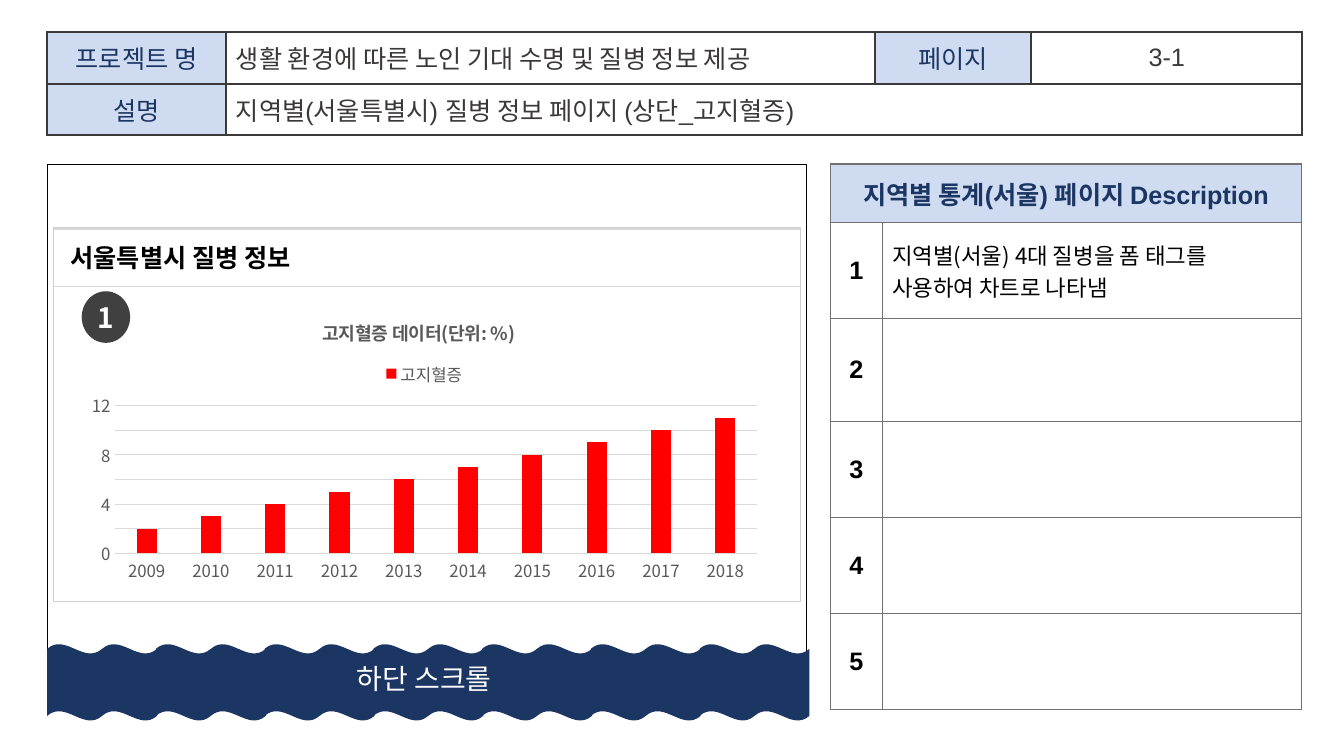
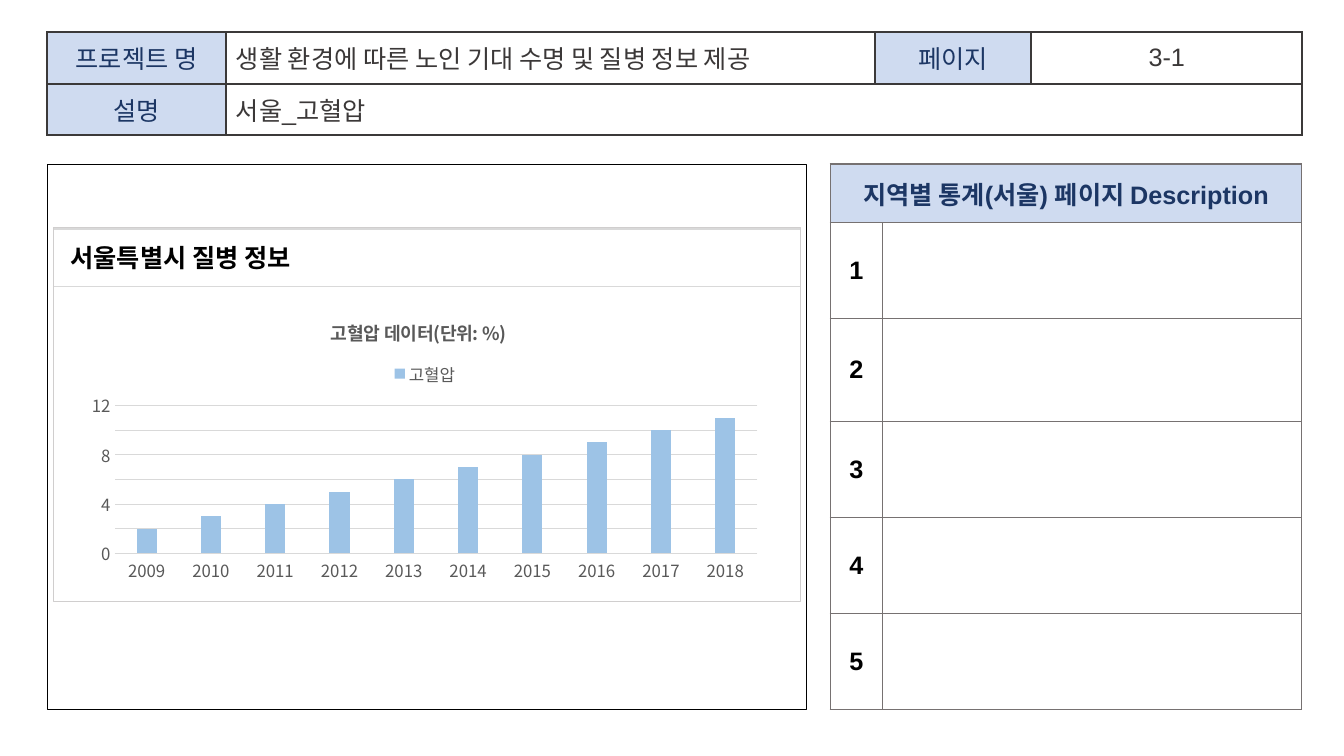
import dataclasses

import lxml.etree
import pptx
import pptx.chart.data
import pptx.dml.color
import pptx.enum.chart
import pptx.enum.shapes
import pptx.enum.text
import pptx.oxml
import pptx.oxml.ns
import pptx.util

Cm, Pt = pptx.util.Cm, pptx.util.Pt
PP_ALIGN = pptx.enum.text.PP_ALIGN
MSO_ANCHOR = pptx.enum.text.MSO_ANCHOR
MSO_SHAPE = pptx.enum.shapes.MSO_SHAPE
qn = pptx.oxml.ns.qn


@dataclasses.dataclass(frozen=True)
class Theme:
    navy: str = "1C3664"
    pale_blue: str = "CFDBF0"
    white: str = "FFFFFF"
    black: str = "000000"
    ink: str = "3B3838"
    header_border: str = "3B3939"
    description_border: str = "767171"
    panel_border: str = "D0CECE"
    grid: str = "D9D9D9"
    chart_text: str = "595959"
    badge: str = "404040"
    latin: str = "Arial"
    korean: str = "Noto Sans CJK KR"
    large: int = 20
    normal: int = 18
    note: int = 16
    chart_title: int = 13
    chart_label: int = 12


@dataclasses.dataclass(frozen=True)
class Page:
    summary: str
    disease: str
    bar_color: str
    notes: tuple = ()
    badge: str = ""
    scroll_label: str = ""


THEME = Theme()
PAGES = [
    Page("지역별(서울특별시) 질병 정보 페이지 (상단_고지혈증)", "고지혈증", "FF0000",
         ("지역별(서울) 4대 질병을 폼 태그를 사용하여 차트로 나타냄",), "1", "하단 스크롤"),
    Page("서울_고혈압", "고혈압", "9DC3E6"),
]
YEARS = [str(year) for year in range(2009, 2019)]
RATES = range(2, 12)
LEFT = 1.19
PANEL_TOP = 4.14
PANEL_HEIGHT = 13.74


def rgb(color):
    return pptx.dml.color.RGBColor.from_string(color)


def box(left, top, width, height):
    return Cm(left), Cm(top), Cm(width), Cm(height)


def style_font(font, size, color, face=THEME.korean, bold=False):
    font.size, font.bold, font.name = Pt(size), bold, face
    font.color.rgb = rgb(color)


def write(frame, text, size, color, face=THEME.korean, bold=False, align=PP_ALIGN.LEFT):
    frame.vertical_anchor = MSO_ANCHOR.MIDDLE
    paragraph = frame.paragraphs[0]
    paragraph.alignment = align
    run = paragraph.add_run()
    run.text = text
    style_font(run.font, size, color, face, bold)
    east_asian = lxml.etree.SubElement(run.font._element, qn("a:ea"))
    east_asian.set("typeface", THEME.korean)


def add_figure(shapes, kind, bounds, fill=None, line=None, line_width=1):
    figure = shapes.add_shape(kind, *bounds)
    figure.shadow.inherit = False
    if fill:
        figure.fill.solid()
        figure.fill.fore_color.rgb = rgb(fill)
    else:
        figure.fill.background()
    if line:
        figure.line.color.rgb = rgb(line)
        figure.line.width = Pt(line_width)
    else:
        figure.line.fill.background()
    return figure


def add_grid(slide, left, top, widths, heights):
    frame = slide.shapes.add_table(len(heights), len(widths),
                                   *box(left, top, sum(widths), sum(heights)))
    table = frame.table
    table.first_row = table.horz_banding = False
    for column, width in zip(table.columns, widths):
        column.width = Cm(width)
    for row, height in zip(table.rows, heights):
        row.height = Cm(height)
    return table


def paint_cells(table, is_label, border, outer, inner):
    """Fill every cell and draw the outer and inner rules of the table."""
    last_row, last_column = len(table.rows) - 1, len(table.columns) - 1
    for r in range(last_row + 1):
        for c in range(last_column + 1):
            cell = table.cell(r, c)
            cell.fill.solid()
            cell.fill.fore_color.rgb = rgb(THEME.pale_blue if is_label(r, c) else THEME.white)
            right = c + cell.span_width - 1 if cell.is_merge_origin else c
            edges = (("L", c == 0), ("R", right == last_column),
                     ("T", r == 0), ("B", r == last_row))
            properties = cell._tc.get_or_add_tcPr()
            for position, (side, is_outer) in enumerate(edges):
                width = Pt(outer if is_outer else inner)
                properties.insert(position, pptx.oxml.parse_xml(
                    f'<a:ln{side} xmlns:a="http://schemas.openxmlformats.org/drawingml/2006/main"'
                    f' w="{width}"><a:solidFill><a:srgbClr val="{border}"/></a:solidFill>'
                    f'</a:ln{side}>'))


def add_header(slide, summary):
    table = add_grid(slide, LEFT, 0.81, (4.5, 16.36, 3.94, 6.83), (1.3, 1.3))
    table.cell(1, 1).merge(table.cell(1, 3))
    paint_cells(table, lambda r, c: c == 0 or (r, c) == (0, 2), THEME.header_border, 1.5, 1.5)
    entries = (
        (0, 0, "프로젝트 명", THEME.navy, PP_ALIGN.CENTER),
        (0, 1, "생활 환경에 따른 노인 기대 수명 및 질병 정보 제공", THEME.ink, PP_ALIGN.LEFT),
        (0, 2, "페이지", THEME.navy, PP_ALIGN.CENTER),
        (0, 3, "3-1", THEME.ink, PP_ALIGN.CENTER),
        (1, 0, "설명", THEME.navy, PP_ALIGN.CENTER),
        (1, 1, summary, THEME.ink, PP_ALIGN.LEFT),
    )
    for r, c, text, color, align in entries:
        cell = table.cell(r, c)
        cell.vertical_anchor = MSO_ANCHOR.MIDDLE
        write(cell.text_frame, text, THEME.normal, color, THEME.latin, align=align)


def add_description(slide, notes):
    table = add_grid(slide, 20.93, PANEL_TOP, (1.3, 10.57),
                     (1.47, 2.42, 2.59, 2.42, 2.42, 2.42))
    table.cell(0, 0).merge(table.cell(0, 1))
    paint_cells(table, lambda r, c: r == 0, THEME.description_border, 1.5, 1)
    labels = ["지역별 통계(서울) 페이지 Description", *"12345"]
    for r, label in enumerate(labels):
        cell = table.cell(r, 0)
        cell.vertical_anchor = MSO_ANCHOR.MIDDLE
        write(cell.text_frame, label, THEME.normal, THEME.black if r else THEME.navy,
              THEME.latin, True, PP_ALIGN.CENTER)
    for r, note in enumerate(notes, start=1):
        cell = table.cell(r, 1)
        cell.vertical_anchor = MSO_ANCHOR.MIDDLE
        write(cell.text_frame, note, THEME.note, THEME.black)


def add_panel(slide):
    """Outline the screen mock-up and place its heading."""
    add_figure(slide.shapes, MSO_SHAPE.RECTANGLE, box(LEFT, PANEL_TOP, 19.13, PANEL_HEIGHT),
               line=THEME.black, line_width=0)
    add_figure(slide.shapes, MSO_SHAPE.RECTANGLE, box(1.35, 5.74, 18.82, 9.42),
               line=THEME.panel_border)
    heading = slide.shapes.title
    heading.left, heading.top, heading.width, heading.height = box(1.35, 5.77, 18.82, 1.45)
    heading.line.color.rgb = rgb(THEME.grid)
    heading.line.width = Pt(1)
    heading.text_frame.auto_size = pptx.enum.text.MSO_AUTO_SIZE.NONE
    heading.text_frame.margin_left = Cm(0.43)
    write(heading.text_frame, "서울특별시 질병 정보", THEME.normal, THEME.black, THEME.latin, True)


def place(element, **fractions):
    """Give a chart part a fixed place, in fractions of the chart."""
    for old in element.findall(qn("c:layout")):
        element.remove(old)
    inner = '<c:layoutTarget val="inner"/>' if "w" in fractions else ""
    modes = "".join(f'<c:{key}Mode val="edge"/>' for key in "xy")
    values = "".join(f'<c:{key} val="{value:.3f}"/>' for key, value in fractions.items())
    layout = pptx.oxml.parse_xml(
        '<c:layout xmlns:c="http://schemas.openxmlformats.org/drawingml/2006/chart">'
        f'<c:manualLayout>{inner}{modes}{values}</c:manualLayout></c:layout>')
    before = [child for child in element if child.tag in (qn("c:tx"), qn("c:legendPos"))]
    element.insert(len(before), layout)


def add_disease_chart(slide, disease, bar_color):
    data = pptx.chart.data.CategoryChartData()
    data.categories = YEARS
    data.add_series(disease, RATES)
    chart = slide.shapes.add_chart(pptx.enum.chart.XL_CHART_TYPE.COLUMN_CLUSTERED,
                                   *box(1.96, 7.54, 17.48, 7.29), data).chart
    style_font(chart.font, THEME.chart_label, THEME.chart_text)

    write(chart.chart_title.text_frame, f"{disease} 데이터(단위: %)", THEME.chart_title,
          THEME.chart_text, bold=True, align=PP_ALIGN.CENTER)
    chart.chart_title.include_in_layout = False
    chart.has_legend = True
    chart.legend.position = pptx.enum.chart.XL_LEGEND_POSITION.TOP
    chart.legend.include_in_layout = False
    style_font(chart.legend.font, THEME.chart_label, THEME.chart_text)

    half_name = 0.012 * len(disease)
    place(chart.chart_title._element, x=0.396 - half_name, y=0.05)
    place(chart.legend._element, x=0.485 - half_name, y=0.2)
    place(chart._chartSpace.chart.plotArea, x=0.053, y=0.367, w=0.927, h=0.512)

    plot = chart.plots[0]
    plot.vary_by_categories = False
    plot.gap_width, plot.overlap = 219, -27
    bars = plot.series[0].format.fill
    bars.solid()
    bars.fore_color.rgb = rgb(bar_color)

    years, rates = chart.category_axis, chart.value_axis
    for axis in (years, rates):
        axis.major_tick_mark = pptx.enum.chart.XL_TICK_MARK.NONE
        style_font(axis.tick_labels.font, THEME.chart_label, THEME.chart_text)
    rates.minimum_scale, rates.maximum_scale, rates.major_unit = 0, 12, 2
    rates.format.line.fill.background()
    for line in (years.format.line, rates.major_gridlines.format.line):
        line.color.rgb = rgb(THEME.grid)
        line.width = Pt(0.75)


def add_badge(slide, number):
    badge = add_figure(slide.shapes, MSO_SHAPE.OVAL, box(2.06, 7.34, 1.22, 1.3), THEME.badge)
    badge.text_frame.word_wrap = False
    write(badge.text_frame, number, THEME.large, THEME.white, bold=True, align=PP_ALIGN.CENTER)


def add_scroll_band(slide, label):
    band = slide.shapes.add_group_shape()
    for index in range(7):
        add_figure(band.shapes, MSO_SHAPE.DOUBLE_WAVE,
                   box(LEFT + 2.74 * index, 16.23, 2.77, 1.93), THEME.navy)
    caption = band.shapes.add_textbox(*box(8.53, 16.54, 4.32, 1.12))
    caption.text_frame.word_wrap = False
    write(caption.text_frame, label, THEME.large, THEME.white, align=PP_ALIGN.CENTER)


def main():
    deck = pptx.Presentation()
    deck.slide_width, deck.slide_height = Cm(33.87), Cm(19.05)
    title_only = deck.slide_layouts[5]
    for page in PAGES:
        slide = deck.slides.add_slide(title_only)
        add_panel(slide)
        add_description(slide, page.notes)
        add_disease_chart(slide, page.disease, page.bar_color)
        if page.badge:
            add_badge(slide, page.badge)
        if page.scroll_label:
            add_scroll_band(slide, page.scroll_label)
        add_header(slide, page.summary)
    deck.save("out.pptx")


if __name__ == "__main__":
    main()
